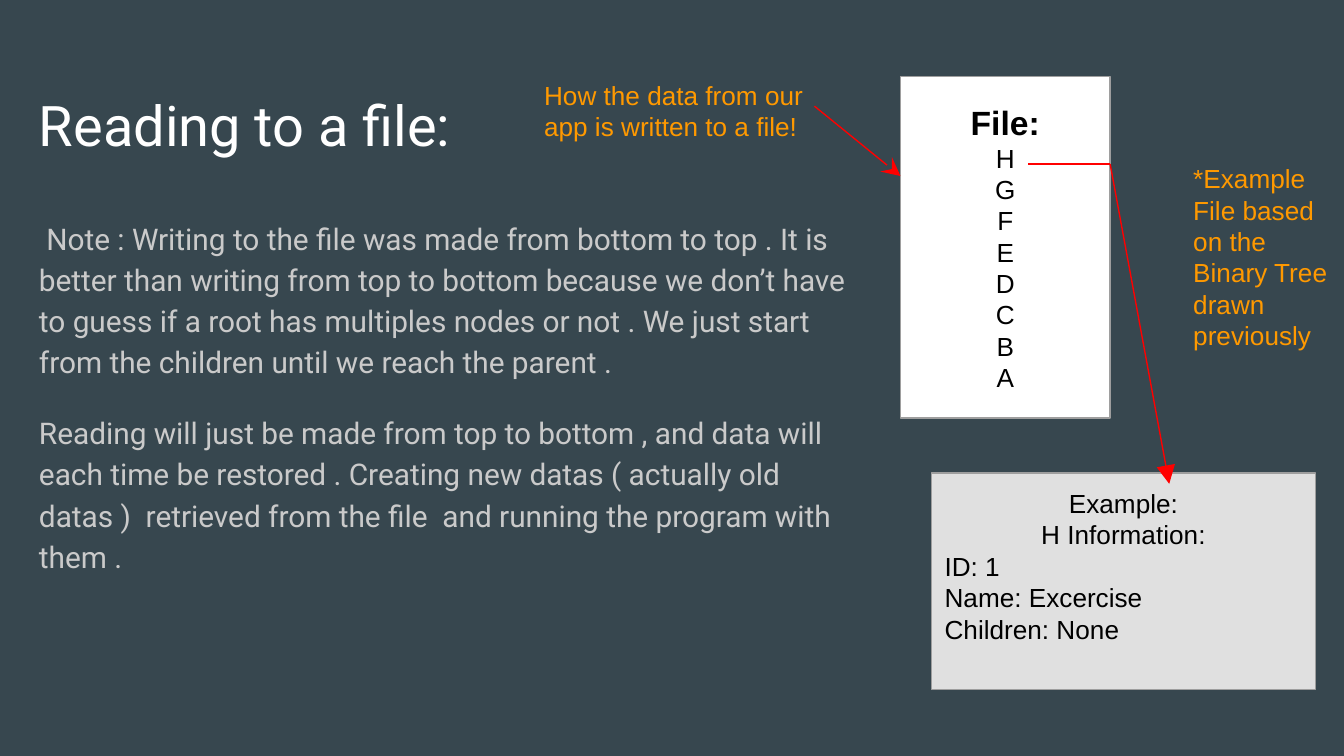
from lxml.etree import SubElement
from pptx import Presentation
from pptx.dml.color import RGBColor
from pptx.enum.shapes import MSO_CONNECTOR, MSO_SHAPE
from pptx.enum.text import MSO_ANCHOR, MSO_AUTO_SIZE, PP_ALIGN
from pptx.oxml.ns import qn
from pptx.util import Inches, Pt

SLATE = RGBColor(0x37, 0x47, 0x4F)
WHITE = RGBColor(0xFF, 0xFF, 0xFF)
BLACK = RGBColor(0, 0, 0)
SILVER = RGBColor(0xCA, 0xCA, 0xCA)
PALE = RGBColor(0xE0, 0xE0, 0xE0)
GREY = RGBColor(0x9E, 0x9E, 0x9E)
RED = RGBColor(0xFF, 0, 0)
ORANGE = RGBColor(0xFF, 0x99, 0)

TITLE = "Reading to a file:"
BODY = [
    " Note : Writing to the file was made from bottom to top . It is better than "
    "writing from top to bottom because we don’t have to guess if a root has "
    "multiples nodes or not . We just start from the children until we reach "
    "the parent .",
    "Reading will just be made from top to bottom , and data will each time be "
    "restored . Creating new datas ( actually old datas )  retrieved from the file  "
    "and running the program with them .",
]
FILE_LINES = ["File:", *"HGFEDCBA"]
EXAMPLE_LINES = ["Example:", "H Information:", "ID: 1", "Name: Excercise",
                 "Children: None"]
NOTES = [  # text, (left, top, width, height)
    ("*Example File based on the Binary Tree drawn previously",
     (8.78, 1.11, 1.22, 1.51)),
    ("How the data from our app is written to a file!", (3.95, 0.49, 2.26, 0.63)),
]
LINES = [  # start, end, arrowhead
    ((8.26, 1.22), (8.7, 3.6), "triangle"),
    ((7.65, 1.22), (8.26, 1.22), None),
    ((6.06, 0.79), (6.7, 1.31), "stealth"),
]


def write(sp, lines, font, size, color, anchor=MSO_ANCHOR.TOP):
    """Fill a shape with left-aligned paragraphs and return them."""
    tf = sp.text_frame
    tf.word_wrap = True
    tf.auto_size = MSO_AUTO_SIZE.NONE
    tf.vertical_anchor = anchor
    tf.margin_left = tf.margin_right = Inches(0.1)
    tf.margin_top = tf.margin_bottom = Inches(0.1)
    tf.text = "\n".join(lines)
    for p in tf.paragraphs:
        p.alignment = PP_ALIGN.LEFT
        for r in p.runs:
            r.font.name = font
            r.font.size = Pt(size)
            r.font.color.rgb = color
    return tf.paragraphs


def place(sp, box):
    sp.left, sp.top, sp.width, sp.height = map(Inches, box)


def add_panel(s, box, fill, lines, centered):
    """Add a bordered box whose first `centered` lines are centred."""
    sp = s.shapes.add_shape(MSO_SHAPE.RECTANGLE, *map(Inches, box))
    sp.shadow.inherit = False
    sp.fill.solid()
    sp.fill.fore_color.rgb = fill
    sp.line.color.rgb = GREY
    sp.line.width = Pt(0.75)
    for p in write(sp, lines, "Arial", 14, BLACK, MSO_ANCHOR.MIDDLE)[:centered]:
        p.alignment = PP_ALIGN.CENTER
    return sp


def add_line(s, start, end, head):
    line = s.shapes.add_connector(MSO_CONNECTOR.STRAIGHT,
                                  *map(Inches, start + end))
    line.line.color.rgb = RED
    line.line.width = Pt(0.75)
    spPr = line._element.spPr
    if head:
        SubElement(spPr.get_or_add_ln(), qn("a:tailEnd"),
                   type=head, w="lg", len="lg")
    SubElement(spPr, qn("a:effectLst"))


prs = Presentation()
prs.slide_width = Inches(10)
prs.slide_height = prs.slide_width * 9 // 16
s = prs.slides.add_slide(prs.slide_layouts[1])
s.background.fill.solid()
s.background.fill.fore_color.rgb = SLATE

title, body = s.placeholders
place(title, (0.19, 0.57, 6.91, 0.69))
write(title, [TITLE], "Roboto", 30, WHITE)

place(body, (0.19, 1.5, 6.27, 4))
for p in write(body, BODY, "Roboto", 16, SILVER):
    p.line_spacing = 1.15
    p.space_before, p.space_after = Pt(0), Pt(16)
    pPr = p._p.get_or_add_pPr()
    pPr.set("marL", "0")
    pPr.set("indent", "0")
    SubElement(pPr, qn("a:buNone"))

file_box = add_panel(s, (6.7, 0.57, 1.56, 2.54), WHITE, FILE_LINES,
                     len(FILE_LINES))
heading = file_box.text_frame.paragraphs[0].runs[0].font
heading.size, heading.bold = Pt(18), True

example_box = add_panel(s, (6.93, 3.52, 2.86, 1.61), PALE, EXAMPLE_LINES, 2)
example_box.text_frame.margin_bottom = Inches(0.33)

for text, box in NOTES:
    write(s.shapes.add_textbox(*map(Inches, box)), [text], "Arial", 14, ORANGE)
for start, end, head in LINES:
    add_line(s, start, end, head)

prs.save("out.pptx")
